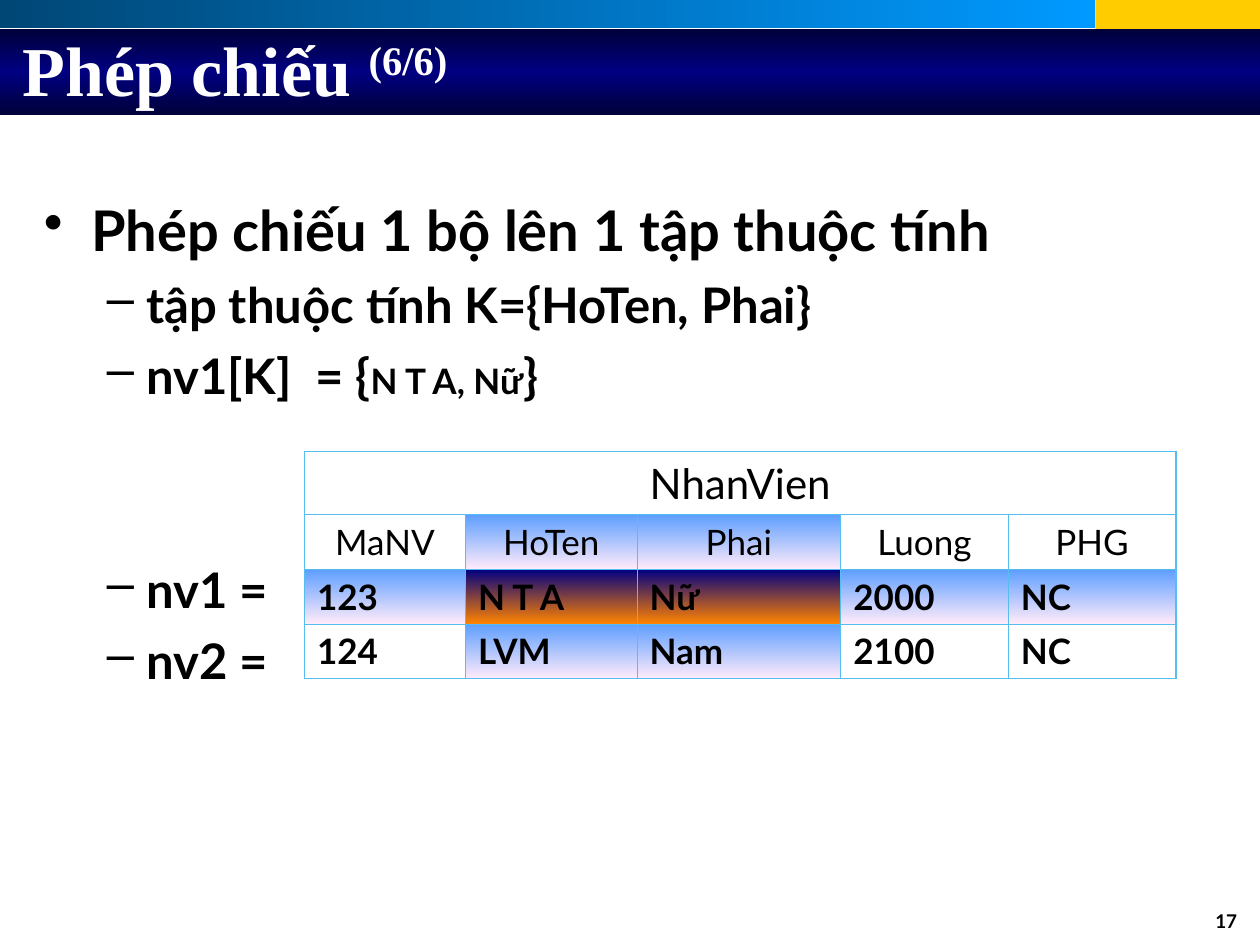
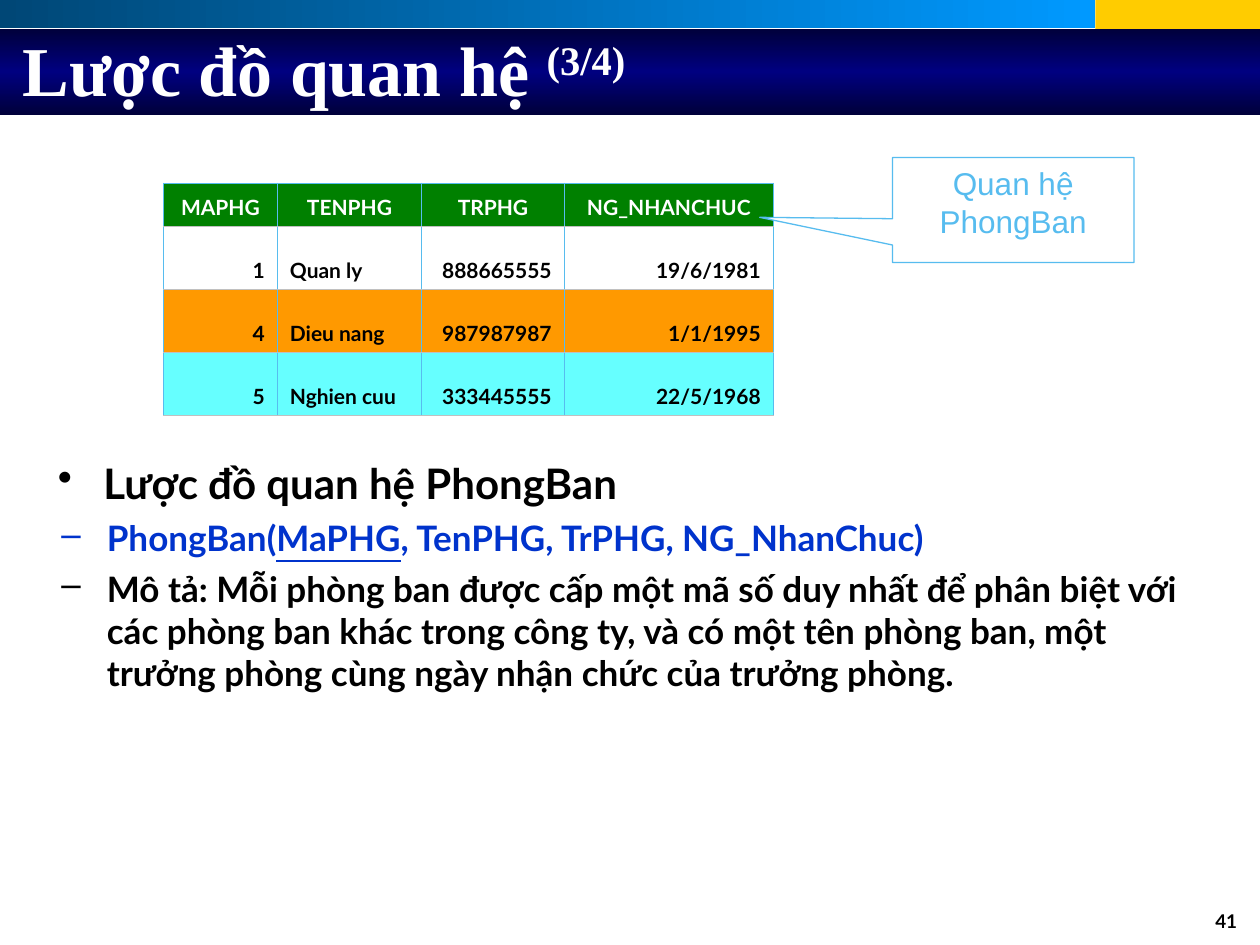
"""Build two slides on relational projection and relation schemas."""
import pptx
import pptx.dml.color
import pptx.enum.shapes
import pptx.enum.text
import pptx.oxml
import pptx.oxml.ns
import pptx.util

Pt = pptx.util.Pt
SHAPE = pptx.enum.shapes.MSO_SHAPE
ALIGN = pptx.enum.text.PP_ALIGN
ANCHOR = pptx.enum.text.MSO_ANCHOR

BLACK, WHITE, SKY, SILVER = "000000", "FFFFFF", "57BCEF", "C0C0C0"
YELLOW, GREEN, ORANGE, CYAN, BLUE = "FFCC00", "008000", "FF9900", "66FFFF", "0033CC"
BODY_FONT, TITLE_FONT, CALLOUT_FONT = "Lato", "Times New Roman", "Arial"
TOP_GRADIENT = (["004776", "0099FF"], 0)
TITLE_GRADIENT = (["00003B", "000080", "00003B"], 90)
SELECTED = (["5E9EFF", "FFEBFA"], 90)
RESULT = (["000082", "FF8200"], 90)
THIN, THICK = 0.45, 1.08


def color(value):
    """Turn a hex string into a colour."""
    return pptx.dml.color.RGBColor.from_string(value)


def make_element(xml):
    """Parse a drawing element, with the drawing namespace declared."""
    head, tail = xml.split(" ", 1)
    return pptx.oxml.parse_xml(f"{head} {pptx.oxml.ns.nsdecls('a')} {tail}")


def paint(fill, element, look):
    """Fill with nothing, a solid colour or evenly spaced gradient stops."""
    if look is None:
        fill.background()
    elif isinstance(look, str):
        fill.solid()
        fill.fore_color.rgb = color(look)
    else:
        stops, angle = look
        fill.gradient()
        fill.gradient_angle = -angle % 360
        stop_list = next(element.iter(pptx.oxml.ns.qn("a:gsLst")))
        for stop in list(stop_list):
            stop_list.remove(stop)
        for index, value in enumerate(stops):
            position = index * 100000 // (len(stops) - 1)
            stop_list.append(make_element(
                f'<a:gs pos="{position}"><a:srgbClr val="{value}"/></a:gs>'))


def write_run(paragraph, text, size, ink=BLACK, font=BODY_FONT, bold=True,
              underline=None, raised=0):
    """Append one formatted run to a paragraph."""
    run = paragraph.add_run()
    run.text = text
    run.font.size = Pt(size)
    run.font.name = font
    run.font.bold = bold
    run.font.underline = underline
    run.font.color.rgb = color(ink)
    if raised:
        run.font._element.set("baseline", str(raised * 1000))


def add_text_box(slide, box, anchor=ANCHOR.TOP):
    """Add a wrapping text box and return its text frame."""
    text_frame = slide.shapes.add_textbox(*map(Pt, box)).text_frame
    text_frame.word_wrap = True
    text_frame.vertical_anchor = anchor
    return text_frame


def add_shape(slide, kind, box, look):
    """Add a preset shape without shadow or outline."""
    shape = slide.shapes.add_shape(kind, *map(Pt, box))
    shape.shadow.inherit = False
    paint(shape.fill, shape._element, look)
    shape.line.fill.background()
    return shape


def add_frame(presentation, title, part, title_box, number):
    """Add a slide with its bands, title and page number."""
    slide = presentation.slides.add_slide(presentation.slide_layouts[6])
    for box, look in [((626, 0, 94, 20), YELLOW),
                      ((0, 0, 626, 16), TOP_GRADIENT),
                      ((0, 16.5, 720, 49), TITLE_GRADIENT)]:
        add_shape(slide, SHAPE.RECTANGLE, box, look)
    paragraph = add_text_box(slide, (546, 516, 168, 23)).paragraphs[0]
    paragraph.alignment = ALIGN.RIGHT
    write_run(paragraph, str(number), 10.8)
    paragraph = add_text_box(slide, title_box, ANCHOR.MIDDLE).paragraphs[0]
    write_run(paragraph, title + " ", 40, WHITE, TITLE_FONT)
    write_run(paragraph, part, 40, WHITE, TITLE_FONT, raised=30)
    return slide


def add_bullets(slide, box, items, indents):
    """Add bulleted paragraphs given as (level, space before, runs)."""
    text_frame = add_text_box(slide, box)
    for index, (level, space, runs) in enumerate(items):
        paragraph = text_frame.add_paragraph() if index else text_frame.paragraphs[0]
        paragraph.level = level
        left, hanging = indents[level]
        properties = paragraph._p.get_or_add_pPr()
        properties.set("marL", str(Pt(left)))
        properties.set("indent", str(-Pt(hanging)))
        properties.append(make_element(f'<a:buChar char="{"•–"[level]}"/>'))
        if index:
            paragraph.space_before = Pt(space)
        for text, style in runs:
            write_run(paragraph, text, **style)


def set_borders(cell, edges):
    """Draw the left, right, top and bottom borders of a cell."""
    properties = cell._tc.get_or_add_tcPr()
    for side, (ink, width) in zip("LRTB", edges):
        properties.append(make_element(
            f'<a:ln{side} w="{Pt(width)}"><a:solidFill><a:srgbClr val="{ink}"/>'
            f'</a:solidFill></a:ln{side}>'))


def add_grid(slide, left, top, widths, heights):
    """Add a plain table with the given columns and rows."""
    table = slide.shapes.add_table(len(heights), len(widths), Pt(left), Pt(top),
                                   Pt(sum(widths)), Pt(sum(heights))).table
    table.first_row = table.horz_banding = False
    for column, width in zip(table.columns, widths):
        column.width = Pt(width)
    for row, height in zip(table.rows, heights):
        row.height = Pt(height)
    return table


def fill_cell(cell, text, edges, look, alignment, anchor=ANCHOR.TOP, **style):
    """Give a cell its borders, fill and text."""
    set_borders(cell, edges)
    paint(cell.fill, cell._tc, look)
    cell.vertical_anchor = anchor
    paragraph = cell.text_frame.paragraphs[0]
    paragraph.alignment = alignment
    if text:
        write_run(paragraph, text, **style)


def add_employee_table(slide):
    """Add the employee relation with the projected cells highlighted."""
    rows = [["NhanVien", "", "", "", ""],
            ["MaNV", "HoTen", "Phai", "Luong", "PHG"],
            ["123", "N T A", "Nữ", "2000", "NC"],
            ["124", "LVM", "Nam", "2100", "NC"]]
    table = add_grid(slide, 174, 258, [92, 98, 116.5, 95.75, 95.75],
                     [36, 31.25, 31.25, 31.25])
    table.cell(0, 0).merge(table.cell(0, 4))
    for row, texts in enumerate(rows):
        for column, text in enumerate(texts):
            outer = (column == 0 or row == 0, column == 4 or row == 0,
                     row == 0, row == 3)
            edges = [(SKY, THICK if edge else THIN) for edge in outer]
            projected = row > 0 and column in (1, 2)
            chosen = row == 2
            look = (RESULT if projected and chosen
                    else SELECTED if projected or chosen else None)
            fill_cell(table.cell(row, column), text, edges, look,
                      ALIGN.CENTER if row < 2 else ALIGN.LEFT,
                      size=20 if row else 24, bold=row > 1)


def add_department_table(slide):
    """Add the department relation with one colour per row."""
    rows = [(GREEN, ["MAPHG", "TENPHG", "TRPHG", "NG_NHANCHUC"]),
            (WHITE, ["1", "Quan ly", "888665555", "19/6/1981"]),
            (ORANGE, ["4", "Dieu nang", "987987987", "1/1/1995"]),
            (CYAN, ["5", "Nghien cuu", "333445555", "22/5/1968"])]
    table = add_grid(slide, 93.5, 104.5, [65, 82.5, 81.5, 119.5], [25, 36, 36, 36])
    for row, (look, texts) in enumerate(rows):
        for column, text in enumerate(texts):
            edges = [(SKY, THIN), (SKY, THIN),
                     (SILVER if row else SKY, THIN), (SILVER, THIN)]
            alignment = (ALIGN.CENTER if row == 0
                         else ALIGN.LEFT if column == 1 else ALIGN.RIGHT)
            fill_cell(table.cell(row, column), text, edges, look, alignment,
                      ANCHOR.BOTTOM, size=12, ink=BLACK if row else WHITE)


def add_callout(slide, box, lines, tip):
    """Add an outlined callout whose tip is relative to its centre."""
    shape = add_shape(slide, SHAPE.RECTANGULAR_CALLOUT, box, WHITE)
    shape.line.color.rgb = color(SKY)
    shape.line.width = Pt(0.75)
    shape.adjustments[0], shape.adjustments[1] = tip
    text_frame = shape.text_frame
    text_frame.word_wrap = True
    text_frame.vertical_anchor = ANCHOR.TOP
    text_frame.text = "\n".join(lines)
    for paragraph in text_frame.paragraphs:
        paragraph.alignment = ALIGN.CENTER
        for run in paragraph.runs:
            run.font.size = Pt(18)
            run.font.name = CALLOUT_FONT
            run.font.color.rgb = color(SKY)


def build_projection(presentation):
    """Build the slide that projects one tuple onto attributes."""
    slide = add_frame(presentation, "Phép chiếu", "(6/6)", (6, 6, 594, 66), 17)
    large = {"size": 28}
    add_bullets(slide, (18, 108, 678, 324), [
        (0, 0, [("Phép chiếu 1 bộ lên 1 tập thuộc tính", {"size": 32})]),
        (1, 7, [("tập thuộc tính K={HoTen, Phai}", large)]),
        (1, 7, [("nv1[K]  = {", large), ("N T A, Nữ", {"size": 20}), ("}", large)]),
        (1, 88.4, [("nv1 =", large)]),
        (1, 7, [("nv2 =", large)]),
    ], [(27, 27), (58.5, 22.5)])
    add_employee_table(slide)


def build_schema(presentation):
    """Build the slide that describes the department schema."""
    slide = add_frame(presentation, "Lược đồ quan hệ", "(3/4)", (6, -6, 648, 90), 41)
    schema = {"size": 20, "ink": BLUE}
    add_bullets(slide, (18, 258, 684, 204), [
        (0, 0, [("Lược đồ quan hệ PhongBan", {"size": 24})]),
        (1, 5, [("PhongBan(", schema), ("MaPHG", {**schema, "underline": True}),
                (", TenPHG, TrPHG, NG_NhanChuc)", schema)]),
        (1, 5, [("Mô tả: Mỗi phòng ban được cấp một mã số duy nhất để phân biệt "
                 "với các phòng ban khác trong công ty, và có một tên phòng ban, "
                 "một trưởng phòng cùng ngày nhận chức của trưởng phòng.",
                 {"size": 20})]),
    ], [(34, 26), (36, 26)])
    add_department_table(slide)
    add_callout(slide, (510, 90, 138, 60), ["Quan hệ", "PhongBan"], (-1.05, 0.07))


def main():
    """Build and save the presentation."""
    presentation = pptx.Presentation()
    presentation.slide_width, presentation.slide_height = Pt(720), Pt(540)
    build_projection(presentation)
    build_schema(presentation)
    presentation.save("out.pptx")


if __name__ == "__main__":
    main()
